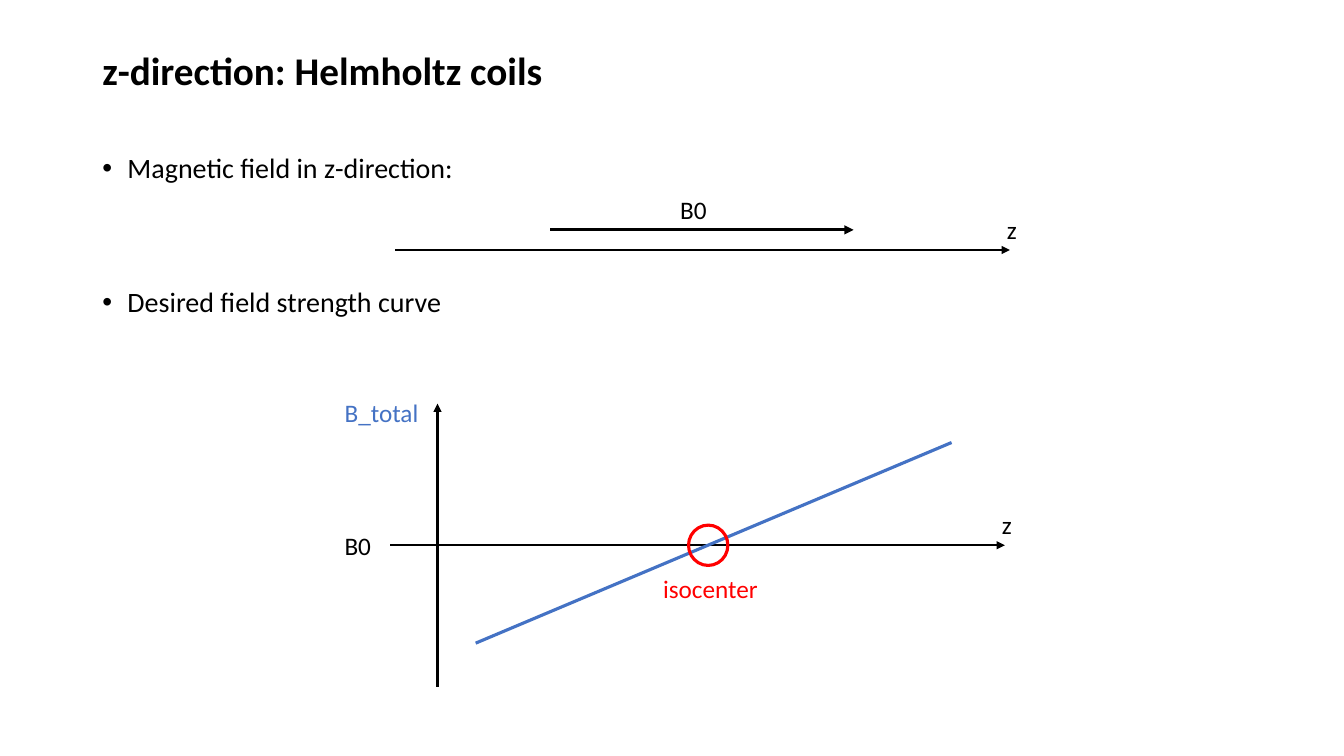
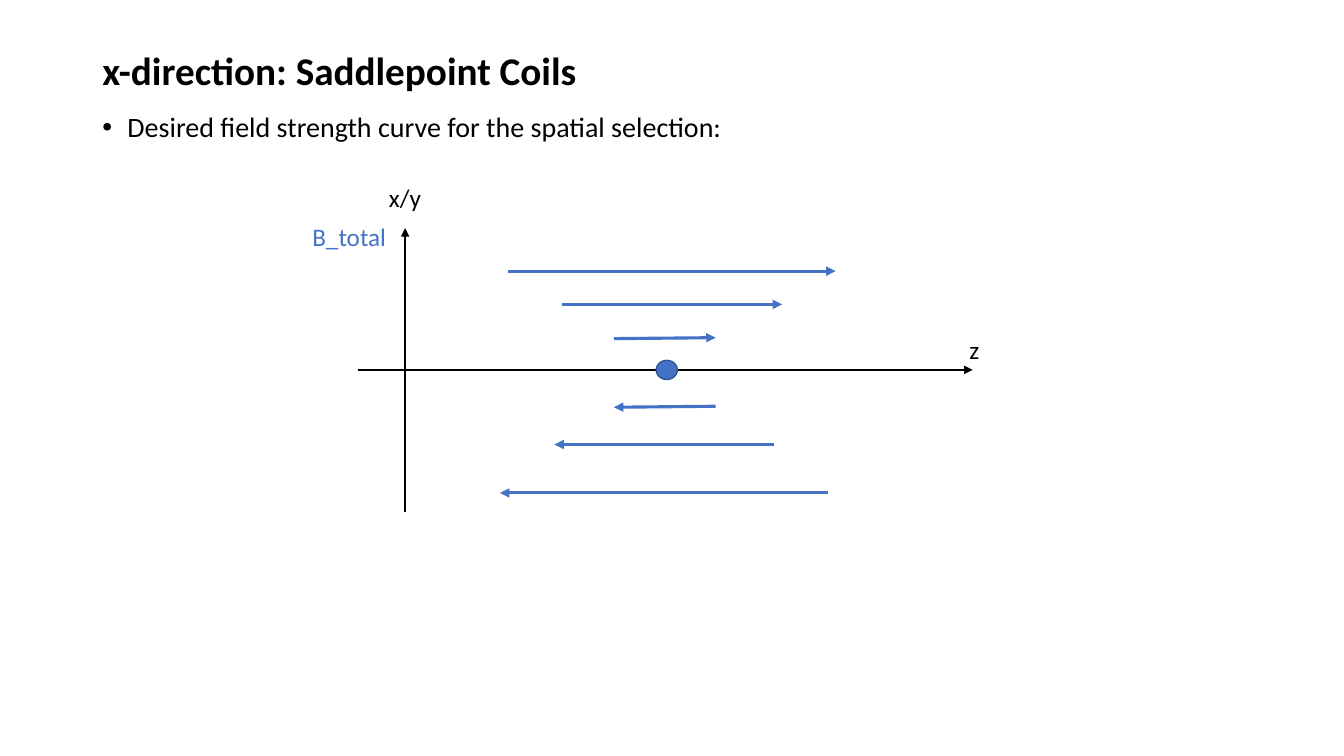
"""Build two slides on the gradient coils and the fields they should produce."""
import dataclasses
import typing

import pptx
import pptx.dml.color
import pptx.enum.shapes
import pptx.enum.text
import pptx.oxml.ns
import pptx.shapes.autoshape
import pptx.slide
import pptx.text.text
import pptx.util
from lxml import etree

Pt = pptx.util.Pt
MSO_ANCHOR = pptx.enum.text.MSO_ANCHOR


@dataclasses.dataclass(frozen=True)
class Theme:
    """Colours, font, type sizes and line widths."""

    font: str = "Calibri"
    text: str = "000000"
    field: str = "4472C4"
    field_edge: str = "325491"
    accent: str = "FF0000"
    title_size: float = 28
    body_size: float = 20
    label_size: float = 18
    edge: float = 1
    thin: float = 1.5
    thick: float = 2.25


class Box(typing.NamedTuple):
    """Place and size in points."""

    left: float
    top: float
    width: float
    height: float


class Line(typing.NamedTuple):
    """Start and end in points."""

    x1: float
    y1: float
    x2: float
    y2: float


THEME = Theme()
TITLE = Box(66, 28.8, 828, 46)
BODY = Box(66, 74.9, 828, 411.8)
LABEL_HEIGHT = 28.8
AXIS_LENGTH = 439.2
AXIS_OVERLAP = 33.9
AXIS_HALF_HEIGHT = 101.2
BULLET_INDENT = 18

FIELD_ARROWS = (
    Line(362.9, 193.7, 596.9, 193.7),
    Line(401.8, 217.4, 558.7, 217.4),
    Line(438.5, 241.9, 511.2, 241.2),
    Line(511.2, 290.2, 438.5, 290.9),
    Line(553, 317.5, 396, 317.5),
    Line(591.8, 352.1, 357.1, 352.1),
)


def rgb(color: str) -> pptx.dml.color.RGBColor:
    """Turn a hex string into a colour."""
    return pptx.dml.color.RGBColor.from_string(color)


def add_element(parent: typing.Any, tag: str, **attributes: str) -> None:
    """Append a DrawingML element to its parent."""
    etree.SubElement(parent, pptx.oxml.ns.qn(tag), attributes)


def add_text(s: pptx.slide.Slide, box: Box, *texts: str, size: float = THEME.label_size,
             color: str = THEME.text, bold: bool = False, bullet: bool = False,
             anchor: MSO_ANCHOR = MSO_ANCHOR.TOP, spacing: float = 1.0, gap: float = 0,
             side_inset: float = 7.2, top_inset: float = 3.6) -> None:
    """Add a text box with one paragraph for each text."""
    sp = s.shapes.add_textbox(*(Pt(v) for v in box))
    tf = sp.text_frame
    tf.word_wrap = True
    tf.vertical_anchor = anchor
    tf.margin_left = tf.margin_right = Pt(side_inset)
    tf.margin_top = Pt(top_inset)
    for i, text in enumerate(texts):
        p = tf.add_paragraph() if i else tf.paragraphs[0]
        p.line_spacing = spacing
        p.space_before = Pt(gap if i else 0)
        r = p.add_run()
        r.text = text
        r.font.name = THEME.font
        r.font.size = Pt(size)
        r.font.bold = bold
        r.font.color.rgb = rgb(color)
        if bullet:
            add_bullet(p)


def add_bullet(p: pptx.text.text._Paragraph) -> None:
    """Give a paragraph a hanging bullet."""
    props = p._p.get_or_add_pPr()
    props.set("marL", str(int(Pt(BULLET_INDENT))))
    props.set("indent", str(-int(Pt(BULLET_INDENT))))
    add_element(props, "a:buFont", typeface="Arial")
    add_element(props, "a:buChar", char="\u2022")


def add_line(s: pptx.slide.Slide, line: Line, color: str = THEME.text,
             width: float = THEME.thin, arrow: bool = True) -> None:
    """Draw a straight line, with an arrowhead at its end if wanted."""
    cx = s.shapes.add_connector(pptx.enum.shapes.MSO_CONNECTOR.STRAIGHT,
                                *(Pt(v) for v in line))
    cx.line.color.rgb = rgb(color)
    cx.line.width = Pt(width)
    if arrow:
        add_element(cx.line._get_or_add_ln(), "a:tailEnd", type="triangle")
    add_element(cx._element.spPr, "a:effectLst")


def add_ellipse(s: pptx.slide.Slide, box: Box, line: str, width: float,
                fill: typing.Optional[str] = None) -> None:
    """Draw an ellipse, hollow unless a fill is given."""
    sp = s.shapes.add_shape(pptx.enum.shapes.MSO_SHAPE.OVAL, *(Pt(v) for v in box))
    sp.shadow.inherit = False
    sp.line.color.rgb = rgb(line)
    sp.line.width = Pt(width)
    if fill:
        sp.fill.solid()
        sp.fill.fore_color.rgb = rgb(fill)
    else:
        sp.fill.background()


def add_z_axis(s: pptx.slide.Slide, left: float, y: float) -> None:
    """Draw a horizontal axis labelled z at its tip."""
    right = left + AXIS_LENGTH
    add_line(s, Line(left, y, right, y))
    add_text(s, Box(right - 2.2, y - 29.2, 10, LABEL_HEIGHT), "z", side_inset=0)


def add_axes(s: pptx.slide.Slide, x: float, y: float) -> None:
    """Draw the z axis and the field axis crossing at a point."""
    add_z_axis(s, x - AXIS_OVERLAP, y)
    add_line(s, Line(x, y + AXIS_HALF_HEIGHT, x, y - AXIS_HALF_HEIGHT))
    add_text(s, Box(x - 73.4, y - 109.4, 122.4, LABEL_HEIGHT), "B_total",
             color=THEME.field)


def add_slide(prs: pptx.presentation.Presentation, title: str, *bullets: str,
              spacing: float = 1.0, gap: float = 0,
              top_inset: float = 3.6) -> pptx.slide.Slide:
    """Add a blank slide with a title and bullets."""
    s = prs.slides.add_slide(prs.slide_layouts[6])
    add_text(s, TITLE, title, size=THEME.title_size, bold=True, spacing=0.9,
             anchor=MSO_ANCHOR.MIDDLE)
    add_text(s, BODY, *bullets, size=THEME.body_size, bullet=True, spacing=spacing,
             gap=gap, top_inset=top_inset)
    return s


def build_helmholtz(prs: pptx.presentation.Presentation) -> None:
    """Build the slide on the z-direction."""
    s = add_slide(prs, "z-direction: Helmholtz coils", "Magnetic field in z-direction:",
                  "Desired field strength curve", spacing=0.9, gap=74, top_inset=35.6)
    add_z_axis(s, 282.2, 178.6)
    add_line(s, Line(393.1, 164.2, 609.8, 164.2), width=THEME.thick)
    add_text(s, Box(478.8, 135.4, 46, LABEL_HEIGHT), "B0")
    add_axes(s, 312.5, 389.5)
    add_line(s, Line(339.8, 459.4, 679.7, 316.1), color=THEME.field,
             width=THEME.thick, arrow=False)
    add_text(s, Box(239, 375.1, 46, LABEL_HEIGHT), "B0")
    add_text(s, Box(466.6, 406.1, 136.8, LABEL_HEIGHT), "isocenter", color=THEME.accent)
    add_ellipse(s, Box(491.8, 375.1, 28.1, 28.8), THEME.accent, THEME.thick)


def build_saddlepoint(prs: pptx.presentation.Presentation) -> None:
    """Build the slide on the x-direction."""
    s = add_slide(prs, "x-direction: Saddlepoint Coils",
                  "Desired field strength curve for the spatial selection:")
    add_axes(s, 289.4, 264.2)
    add_text(s, Box(270.7, 126.7, 46, LABEL_HEIGHT), "x/y")
    for arrow in FIELD_ARROWS:
        add_line(s, arrow, color=THEME.field, width=THEME.thick)
    add_ellipse(s, Box(468.7, 257.4, 15.1, 13.7), THEME.field_edge, THEME.edge,
                fill=THEME.field)


def main() -> None:
    """Build and save the presentation."""
    prs = pptx.Presentation()
    prs.slide_width, prs.slide_height = Pt(960), Pt(540)
    build_helmholtz(prs)
    build_saddlepoint(prs)
    prs.save("out.pptx")


main()
